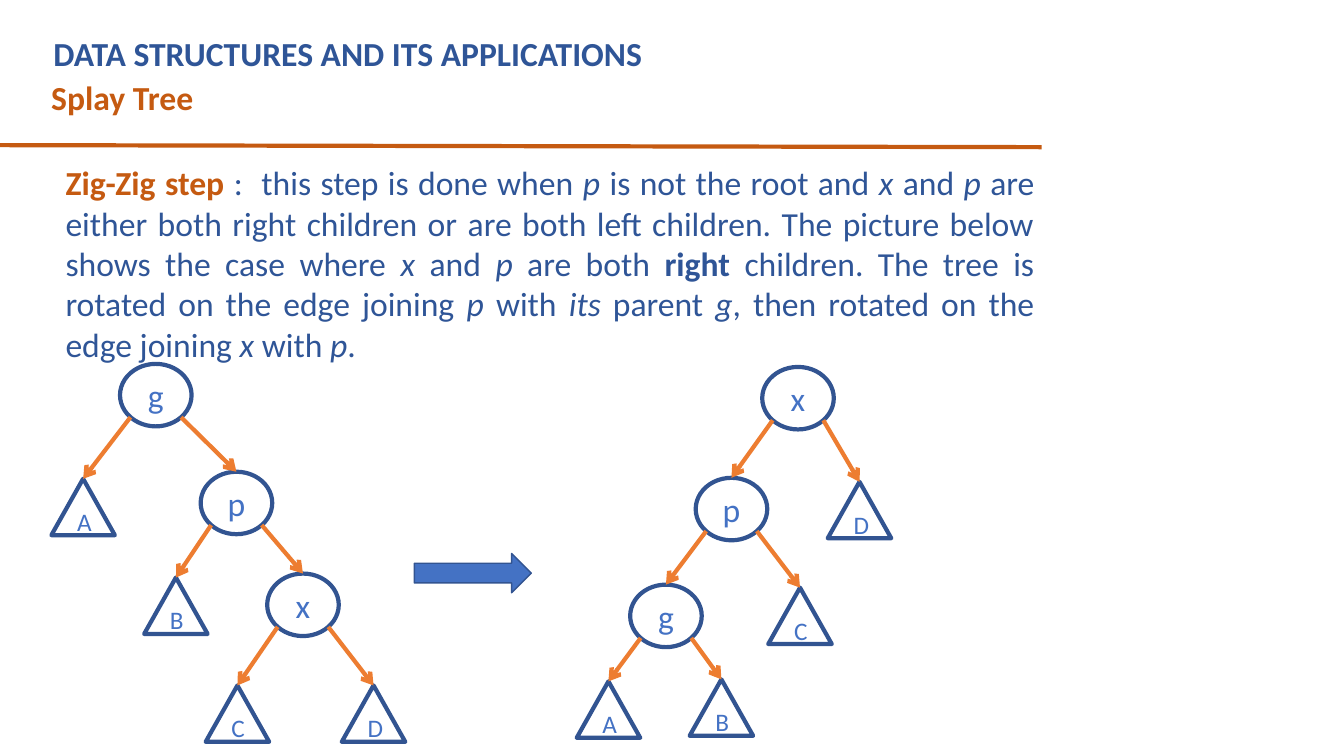
"""Build the splay tree zig-zig slide."""
from lxml import etree
from pptx import Presentation
from pptx.dml.color import RGBColor
from pptx.enum.shapes import MSO_CONNECTOR, MSO_SHAPE
from pptx.enum.text import MSO_ANCHOR, MSO_AUTO_SIZE, PP_ALIGN
from pptx.oxml.ns import qn
from pptx.util import Inches, Pt

STRAIGHT = MSO_CONNECTOR.STRAIGHT
ELLIPSE, TRIANGLE, ARROW = MSO_SHAPE.OVAL, MSO_SHAPE.ISOSCELES_TRIANGLE, MSO_SHAPE.RIGHT_ARROW
TOP, MIDDLE = MSO_ANCHOR.TOP, MSO_ANCHOR.MIDDLE
LEFT, CENTER, JUSTIFY = PP_ALIGN.LEFT, PP_ALIGN.CENTER, PP_ALIGN.JUSTIFY
FIXED = MSO_AUTO_SIZE.NONE

COLORS = {"navy": "2F5597", "rust": "C55A11", "outline": "325491",
          "blue": "4472C4", "orange": "ED7D31"}
CELL = Inches(0.1)
NODE_SIZE, LEAF_SIZE = (7.1, 6.2), (6.3, 5.6)
DIAGONAL = 0.5 ** 0.5

ZIG_ZIG = [
    ("Zig-Zig step ", "heading"), (":  this step is done when ", ""), ("p", "italic"),
    (" is not the root and ", ""), ("x", "italic"), (" and ", ""), ("p", "italic"),
    (" are either both right children or are both left children. "
     "The picture below shows the case where ", ""),
    ("x", "italic"), (" and ", ""), ("p", "italic"), (" are both ", ""), ("right ", "bold"),
    ("children. The tree is rotated on the edge joining ", ""), ("p", "italic"),
    (" with ", ""), ("its", "italic"), (" parent ", ""), ("g", "italic"),
    (", then rotated on the edge joining ", ""), ("x", "italic"), (" with ", ""),
    ("p", "italic"), (".", ""),
]

BEFORE = ("g", 15.45, 36.1, [
    ("A", 8.25, 47.5, []),
    ("p", 23.45, 46.8, [
        ("B", 17.45, 57.3, []),
        ("x", 30.05, 56.9, [("C", 23.55, 68, []), ("D", 37.05, 68, [])])])])
AFTER = ("x", 79.15, 36.4, [
    ("p", 72.55, 47.4, [
        ("g", 66.05, 58, [("A", 60.35, 67.6, []), ("B", 71.55, 67.4, [])]),
        ("C", 79.35, 58.3, [])]),
    ("D", 85.25, 47.8, [])])


def cells(*counts):
    """Turn grid cells into lengths."""
    return [round(count * CELL) for count in counts]


class SplaySlide:
    """Hold the style and the current slide."""

    def __init__(self, deck):
        """Add a slide with a title and a body."""
        self.slide = deck.slides.add_slide(deck.slide_layouts[1])
        self.shapes = self.slide.shapes
        self.font_name = "Calibri"

    def color(self, name):
        """Look up a colour."""
        return RGBColor.from_string(COLORS[name])

    def style(self, paragraph, size, color, align, bold=False):
        """Format a whole paragraph."""
        paragraph.alignment = align
        font = paragraph.font
        font.name, font.size, font.bold = self.font_name, Pt(size), bold
        font.color.rgb = self.color(color)

    def frame(self, holder, place, anchor):
        """Place a text holder and return its frame."""
        holder.left, holder.top, holder.width, holder.height = cells(*place)
        frame = holder.text_frame
        frame.word_wrap, frame.auto_size, frame.vertical_anchor = True, FIXED, anchor
        return frame

    def heading(self, holder, text, place, color):
        """Write a bold one-line heading."""
        line = self.frame(holder, place, TOP).paragraphs[0]
        line.text = text
        self.style(line, 24, color, LEFT, bold=True)

    def body(self, phrases, place):
        """Write the justified explanation."""
        frame = self.frame(self.slide.placeholders[1], place, MIDDLE)
        frame.margin_top = frame.margin_bottom = 0
        explanation = frame.paragraphs[0]
        explanation.space_before, explanation.space_after = Pt(0), Pt(6)
        layout = explanation._p.get_or_add_pPr()
        layout.set("marL", "0")
        layout.set("indent", "0")
        etree.SubElement(layout, qn("a:buNone"))
        self.style(explanation, 24, "navy", JUSTIFY)
        for text, emphasis in phrases:
            phrase = explanation.add_run()
            phrase.text = text
            if emphasis == "italic":
                phrase.font.italic = True
            elif emphasis:
                phrase.font.bold = True
            if emphasis == "heading":
                phrase.font.color.rgb = self.color("rust")

    def line(self, start, end, color, arrow=False):
        """Draw a straight line, with an arrowhead if asked."""
        stroke = self.shapes.add_connector(STRAIGHT, *cells(*start, *end))
        stroke.line.width = Pt(3)
        stroke.line.color.rgb = self.color(color)
        if arrow:
            etree.SubElement(stroke.line._get_or_add_ln(), qn("a:tailEnd"), type="arrow")
        etree.SubElement(stroke._element.spPr, qn("a:effectLst"))

    def shape(self, kind, place, width, fill=None):
        """Draw an outlined shape."""
        figure = self.shapes.add_shape(kind, *cells(*place))
        figure.shadow.inherit = False
        figure.line.width = Pt(width)
        figure.line.color.rgb = self.color("outline")
        if fill:
            figure.fill.solid()
            figure.fill.fore_color.rgb = self.color(fill)
        else:
            figure.fill.background()
        return figure

    def tree(self, label, center, top, children):
        """Draw a node at its top centre, then its subtrees and edges."""
        width, height = NODE_SIZE if children else LEAF_SIZE
        node = self.shape(ELLIPSE if children else TRIANGLE,
                          (center - width / 2, top, width, height), 3)
        node.text_frame.vertical_anchor = MIDDLE
        name = node.text_frame.paragraphs[0]
        name.text = label
        self.style(name, 24 if children else 18, "blue", CENTER)
        for side, child in zip((-1, 1), children):
            self.tree(*child)
            start = (center + side * width / 2 * DIAGONAL, top + height / 2 * (1 + DIAGONAL))
            self.line(start, child[1:3], "orange", arrow=True)


def main():
    """Build and save the deck."""
    deck = Presentation()
    deck.slide_width, deck.slide_height = Inches(13.33), Inches(7.5)
    page = SplaySlide(deck)
    page.heading(page.shapes.title, "DATA STRUCTURES AND ITS APPLICATIONS",
                 (4.3, 2.8, 82, 5), "navy")
    subtitle = page.shapes.add_textbox(0, 0, CELL, CELL)
    page.heading(subtitle, "Splay Tree", (4.1, 7.1, 87.5, 5), "rust")
    page.line((0, 14.4), (103.3, 14.6), "rust")
    page.body(ZIG_ZIG, (5.5, 16, 98.1, 20.2))
    page.shape(ARROW, (41.1, 54.9, 11.6, 3.9), 1, fill="blue")
    for tree in (BEFORE, AFTER):
        page.tree(*tree)
    deck.save("out.pptx")


if __name__ == "__main__":
    main()
